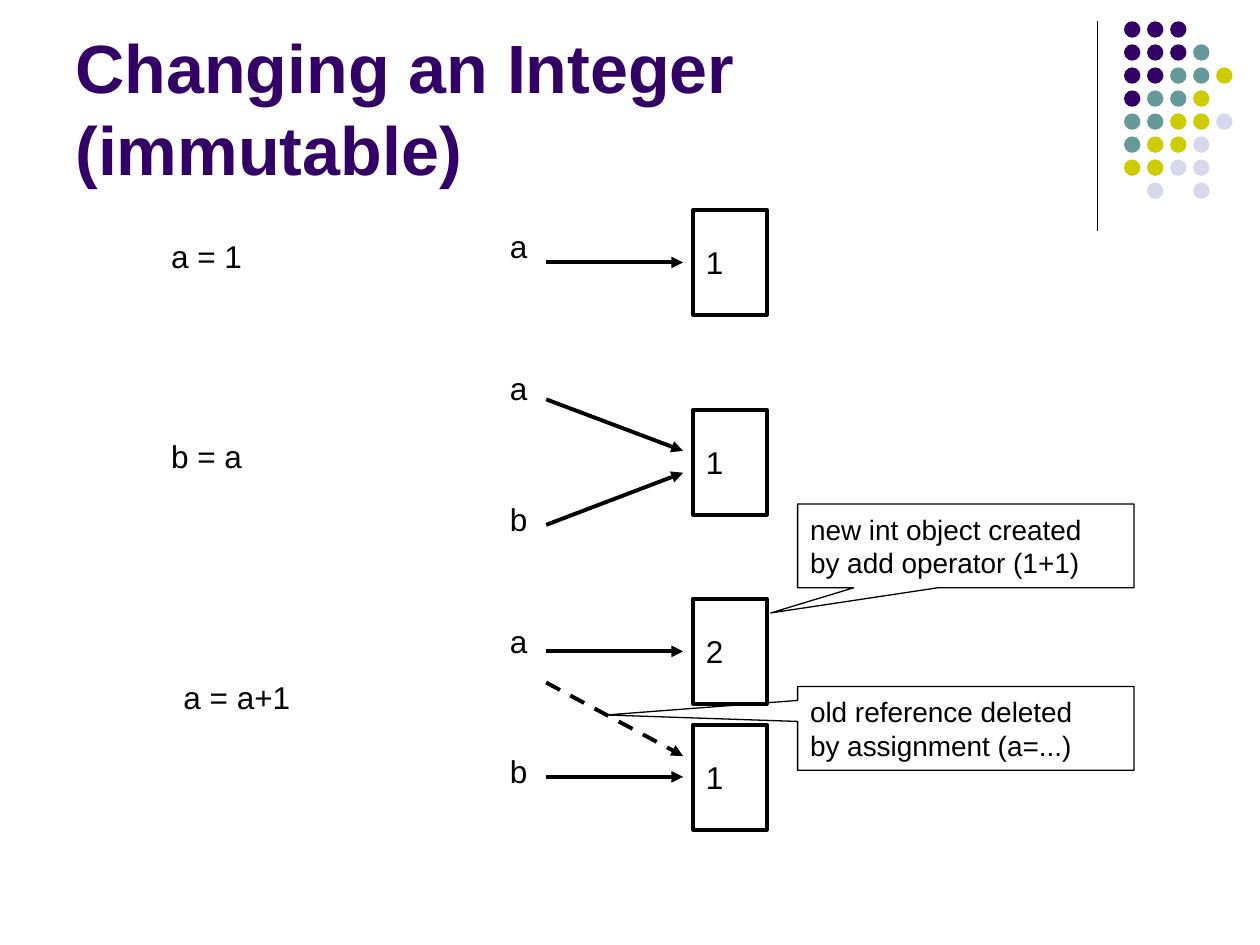
from dataclasses import dataclass

from lxml import etree
from pptx import Presentation
from pptx.dml.color import RGBColor
from pptx.enum import dml, shapes, text
from pptx.oxml import ns
from pptx.util import Cm, Pt


@dataclass(frozen=True)
class Theme:
    font: str = "Arial"
    ink: RGBColor = RGBColor(0, 0, 0)
    plum: RGBColor = RGBColor(0x33, 0, 0x66)
    teal: RGBColor = RGBColor(0x66, 0x99, 0x99)
    lime: RGBColor = RGBColor(0xCC, 0xCC, 0)
    pale: RGBColor = RGBColor(0xD8, 0xD8, 0xEC)
    head: float = 39
    body: float = 18
    note: float = 16
    thin: float = 0.75
    bold: float = 2.25


look = Theme()
deck = Presentation()
deck.slide_width, deck.slide_height = Cm(25.4), Cm(19.05)
slide = deck.slides.add_slide(deck.slide_layouts[6])
items = slide.shapes


def write(shape, lines, size, color=look.ink, bold=False, wrap=True):
    frame = shape.text_frame
    frame.word_wrap = wrap
    for i, line in enumerate(lines):
        para = frame.paragraphs[0] if i == 0 else frame.add_paragraph()
        para.alignment = text.PP_ALIGN.LEFT
        run = para.add_run()
        run.text = line
        run.font.name = look.font
        run.font.size = Pt(size)
        run.font.bold = bold
        run.font.color.rgb = color
    return frame


def link(x1, y1, x2, y2, width):
    """Draw a black line without a shadow."""
    line = items.add_connector(
        shapes.MSO_CONNECTOR.STRAIGHT, Cm(x1), Cm(y1), Cm(x2), Cm(y2))
    line.line.color.rgb = look.ink
    line.line.width = Pt(width)
    etree.SubElement(line._element.spPr, ns.qn("a:effectLst"))
    return line


# Corner ornament: rule and dot grid
link(22.12, 0.43, 22.12, 4.65, look.thin)
hues = {"P": look.plum, "T": look.teal, "Y": look.lime, "L": look.pale}
rows = ["PPP", "PPPT", "PPTTY", "PTTY", "TTYYL", "TYYL", "YYLL", " L L"]
step = 3.25 / 7
for r, row in enumerate(rows):
    for c, key in enumerate(row):
        if key in hues:
            dot = items.add_shape(
                shapes.MSO_SHAPE.OVAL, Cm(22.66 + c * step),
                Cm(0.43 + r * step), Cm(0.33), Cm(0.33))
            dot.shadow.inherit = False
            dot.fill.solid()
            dot.fill.fore_color.rgb = hues[key]
            dot.line.fill.background()

# Title
title = items.add_textbox(Cm(1.27), Cm(0.33), Cm(20.96), Cm(3.6))
frame = write(title, ["Changing an Integer (immutable)"], look.head,
              look.plum, bold=True)
frame.vertical_anchor = text.MSO_ANCHOR.BOTTOM

# Statements and variable names
labels = [
    ("a = 1", 3.2, 4.65, 1.93), ("b = a", 3.2, 8.69, 1.93),
    ("a = a+1", 3.45, 13.54, 2.67),
    ("a", 10.03, 4.45, 0.86), ("a", 10.03, 7.32, 0.86),
    ("b", 10.03, 9.96, 0.86), ("a", 10.03, 12.42, 0.86),
    ("b", 10.03, 15.04, 0.86),
]
for label, x, y, w in labels:
    box = items.add_textbox(Cm(x), Cm(y), Cm(w), Cm(1.01))
    write(box, [label], look.body, wrap=False)

# References
arrows = [(5.29, 5.29, False), (8.05, 9.09, False), (10.58, 9.53, False),
          (13.13, 13.13, False), (15.66, 15.66, False), (13.76, 15.24, True)]
for start, end, gone in arrows:
    arrow = link(11.01, start, 13.77, end, look.bold)
    if gone:
        arrow.line.dash_style = dml.MSO_LINE.DASH
    etree.SubElement(arrow.line._get_or_add_ln(), ns.qn("a:tailEnd"),
                     type="triangle")

# Objects and callouts
cell, wedge = shapes.MSO_SHAPE.RECTANGLE, shapes.MSO_SHAPE.RECTANGULAR_CALLOUT
boxes = [(cell, 13.98, y, 1.48, 2.12, [value], look.body, look.bold, ())
         for value, y in [("1", 4.23), ("1", 8.26), ("2", 12.07), ("1", 14.61)]]
boxes += [
    (wedge, 16.08, 13.84, 6.78, 1.69,
     ["old reference deleted", "by assignment (a=...)"],
     look.note, look.thin, (-1.07, -0.16)),
    (wedge, 16.08, 10.16, 6.78, 1.69,
     ["new int object created", "by add operator (1+1)"],
     look.note, look.thin, (-0.58, 0.8)),
]
for kind, x, y, w, h, lines, size, width, tip in boxes:
    box = items.add_shape(kind, Cm(x), Cm(y), Cm(w), Cm(h))
    box.shadow.inherit = False
    box.fill.background()
    box.line.color.rgb = look.ink
    box.line.width = Pt(width)
    for i, value in enumerate(tip):
        box.adjustments[i] = value
    write(box, lines, size).vertical_anchor = text.MSO_ANCHOR.MIDDLE

deck.save("out.pptx")
